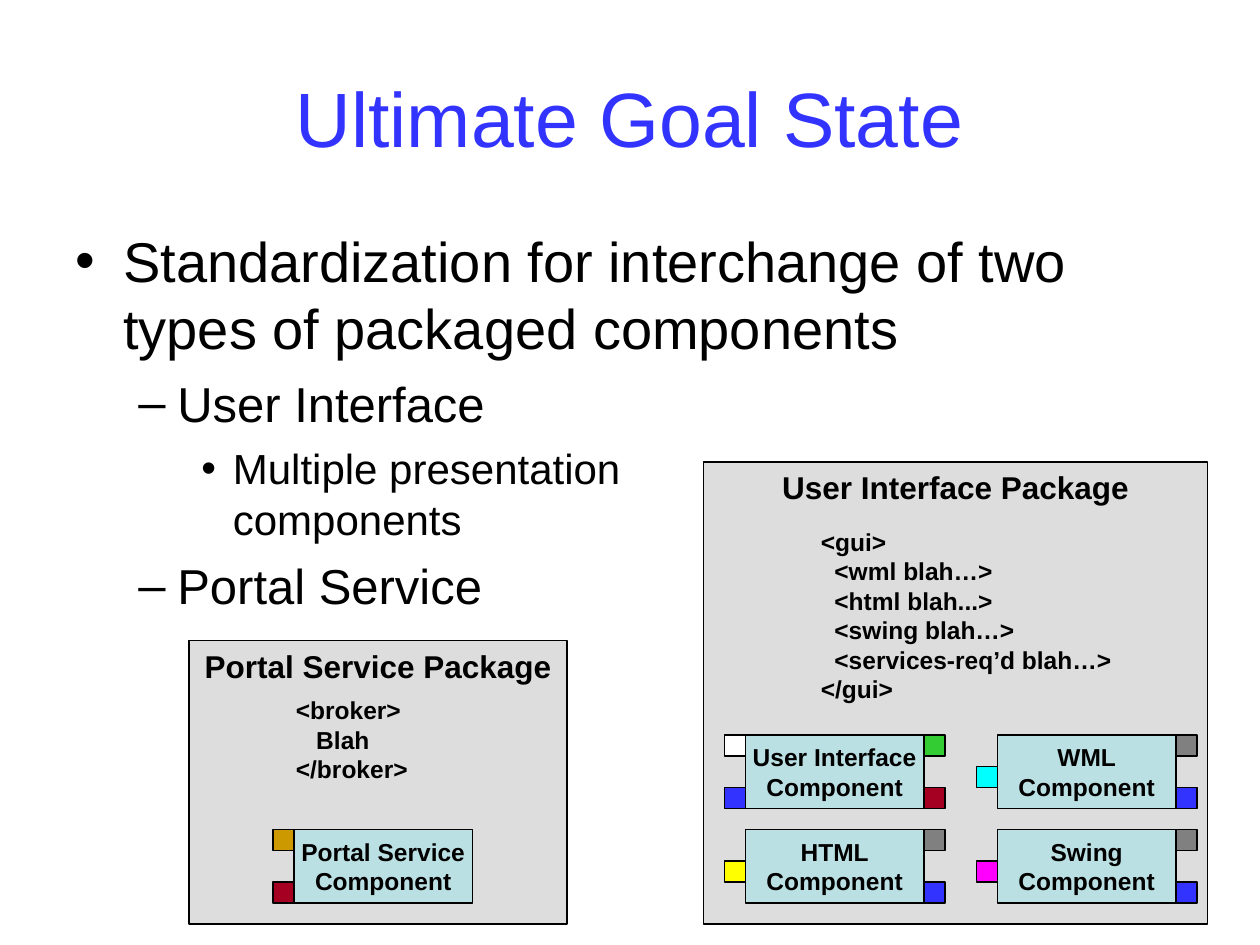
"""Builds the slide on the two kinds of packaged components."""
import pptx
import pptx.dml.color
import pptx.enum.shapes
import pptx.enum.text
import pptx.oxml
import pptx.oxml.ns
import pptx.util

ALIGN = pptx.enum.text.PP_ALIGN
ANCHOR = pptx.enum.text.MSO_ANCHOR
BLACK, BLUE, RED, GRAY = "000000", "3333FF", "A50021", "808080"
PACKAGE_FILL, COMPONENT_FILL = "DDDDDD", "BBE0E3"

TITLE = "Ultimate Goal State"
OUTLINE = [
    (0, "Standardization for interchange of two types of packaged components"),
    (1, "User Interface"),
    (2, "Multiple presentation\vcomponents"),
    (1, "Portal Service"),
]
LEVELS = [
    {"bullet": "•", "margin": 0.38, "hanging": 0.38, "size": 32, "before": 8},
    {"bullet": "–", "margin": 0.81, "hanging": 0.31, "size": 28, "before": 7},
    {"bullet": "•", "margin": 1.25, "hanging": 0.25, "size": 24, "before": 6},
]

UNIT = 1 / 12
COMPONENT_WIDTH, COMPONENT_HEIGHT, PORT = 17, 7, 2
COLUMN_STEP, ROW_STEP = 24, 9
PORT_ROWS = {"top": 0, "middle": 3, "bottom": COMPONENT_HEIGHT - PORT}
PACKAGES = [
    {
        "name": "Portal Service Package",
        "box": (18, 61, 36, 27),
        "code": ["<broker>", "   Blah", "</broker>"],
        "code_box": (27, 65.65, 13.5, 9.6),
        "first": (28, 79),
        "components": [
            (0, 0, "Portal Service", {"top": "CC9900", "bottom": RED}, {}),
        ],
    },
    {
        "name": "User Interface Package",
        "box": (67, 44, 48, 44),
        "code": ["<gui>", "  <wml blah…>", "  <html blah...>", "  <swing blah…>",
                 "  <services-req’d blah…>", "</gui>"],
        "code_box": (77, 49.6, 37, 18),
        "first": (71, 70),
        "components": [
            (0, 0, "User Interface", {"top": "FFFFFF", "bottom": BLUE},
             {"top": "33CC33", "bottom": RED}),
            (1, 0, "WML", {"middle": "00FFFF"}, {"top": GRAY, "bottom": BLUE}),
            (0, 1, "HTML", {"middle": "FFFF00"}, {"top": GRAY, "bottom": BLUE}),
            (1, 1, "Swing", {"middle": "FF00FF"}, {"top": GRAY, "bottom": BLUE}),
        ],
    },
]


def rgb(value):
    return pptx.dml.color.RGBColor.from_string(value)


def units(box):
    return [pptx.util.Inches(n * UNIT) for n in box]


def write(shape, lines, size=14, color=BLACK, bold=False, align=ALIGN.LEFT,
          anchor=ANCHOR.TOP, wrap=False, levels=None):
    frame = shape.text_frame
    frame.word_wrap = wrap
    frame.vertical_anchor = anchor
    for i, line in enumerate(lines):
        paragraph = frame.add_paragraph() if i else frame.paragraphs[0]
        paragraph.text = line
        paragraph.alignment = align
        level = levels[i] if levels else None
        if level is not None:
            style = LEVELS[level]
            paragraph.level = level
            add_bullet(paragraph, style)
            if i:
                paragraph.space_before = pptx.util.Pt(style["before"])
        for run in paragraph.runs:
            run.font.name = "Arial"
            run.font.size = pptx.util.Pt(size if level is None else style["size"])
            run.font.bold = bold
            run.font.color.rgb = rgb(color)


def add_bullet(paragraph, style):
    properties = paragraph._p.get_or_add_pPr()
    properties.set("marL", str(pptx.util.Inches(style["margin"])))
    properties.set("indent", str(-pptx.util.Inches(style["hanging"])))
    namespace = pptx.oxml.ns.nsdecls("a")
    for tag in ('buFont %s typeface="Arial"', f'buChar %s char="{style["bullet"]}"'):
        properties.append(pptx.oxml.parse_xml(f"<a:{tag % namespace}/>"))


def add_box(slide, box, fill):
    rectangle = slide.shapes.add_shape(
        pptx.enum.shapes.MSO_SHAPE.RECTANGLE, *units(box))
    rectangle.shadow.inherit = False
    rectangle.fill.solid()
    rectangle.fill.fore_color.rgb = rgb(fill)
    rectangle.line.color.rgb = rgb(BLACK)
    rectangle.line.width = pptx.util.Pt(0.75)
    return rectangle


def add_component(slide, left, top, name, left_ports, right_ports):
    component = add_box(
        slide, (left, top, COMPONENT_WIDTH, COMPONENT_HEIGHT), COMPONENT_FILL)
    write(component, [name, "Component"], bold=True, align=ALIGN.CENTER,
          anchor=ANCHOR.MIDDLE)
    for x, ports in ((left - PORT, left_ports), (left + COMPONENT_WIDTH, right_ports)):
        for row, color in ports.items():
            add_box(slide, (x, top + PORT_ROWS[row], PORT, PORT), color)


def add_package(slide, package):
    write(add_box(slide, package["box"], PACKAGE_FILL), [package["name"]],
          size=18, bold=True, align=ALIGN.CENTER)
    code = slide.shapes.add_textbox(*units(package["code_box"]))
    write(code, package["code"], bold=True, wrap=True)
    left, top = package["first"]
    for column, row, *details in package["components"]:
        add_component(slide, left + column * COLUMN_STEP, top + row * ROW_STEP, *details)


def main():
    deck = pptx.Presentation()
    deck.slide_width, deck.slide_height = units((120, 90))
    slide = deck.slides.add_slide(deck.slide_layouts[6])
    title = slide.shapes.add_textbox(*units((6, 3.6, 108, 15)))
    write(title, [TITLE], size=44, color=BLUE, align=ALIGN.CENTER,
          anchor=ANCHOR.MIDDLE, wrap=True)
    outline = slide.shapes.add_textbox(*units((6, 21, 108, 59.4)))
    write(outline, [text for _, text in OUTLINE], wrap=True,
          levels=[level for level, _ in OUTLINE])
    for package in PACKAGES:
        add_package(slide, package)
    deck.save("out.pptx")


if __name__ == "__main__":
    main()
